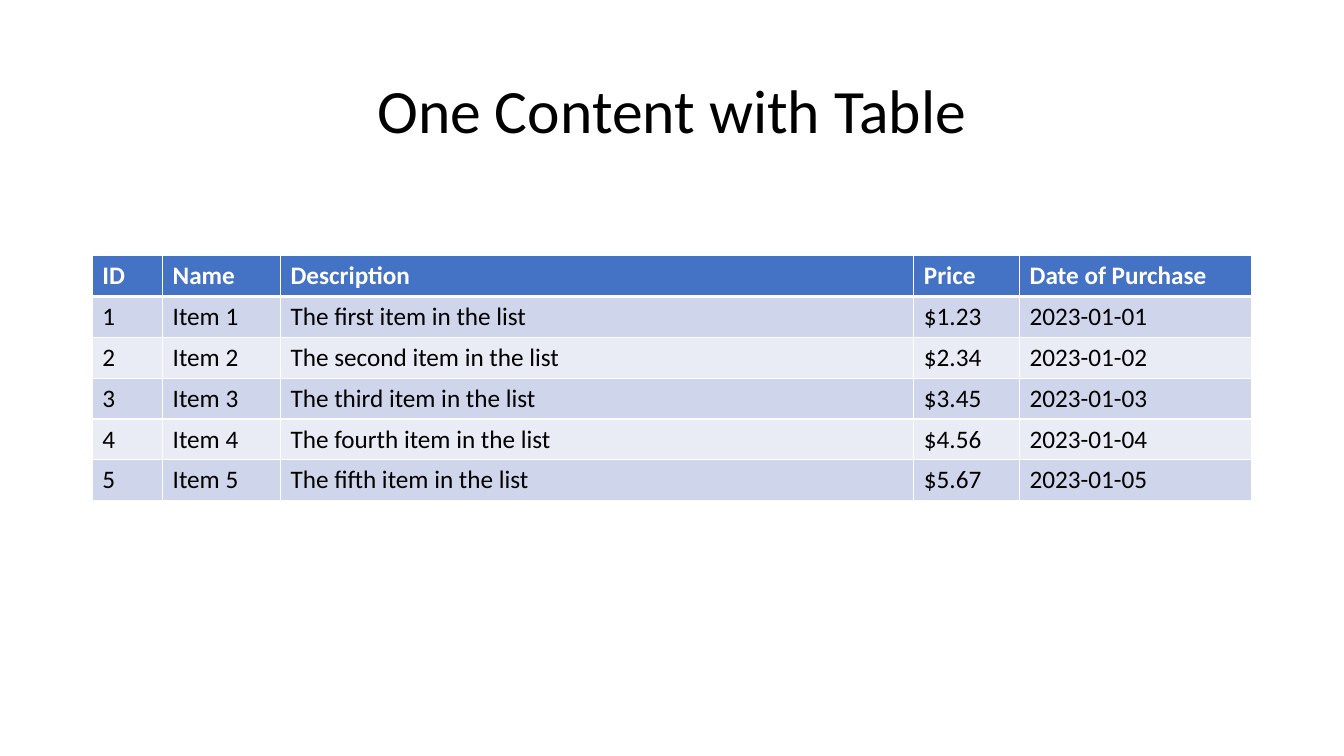
from dataclasses import dataclass

from lxml import etree
from pptx import Presentation
from pptx.dml.color import RGBColor
from pptx.enum import text
from pptx.oxml.ns import qn
from pptx.util import Pt

TITLE = "One Content with Table"
HEADS = ["ID", "Name", "Description", "Price", "Date of Purchase"]
ITEMS = [
    ("1", "Item 1", "The first item in the list", "$1.23", "2023-01-01"),
    ("2", "Item 2", "The second item in the list", "$2.34", "2023-01-02"),
    ("3", "Item 3", "The third item in the list", "$3.45", "2023-01-03"),
    ("4", "Item 4", "The fourth item in the list", "$4.56", "2023-01-04"),
    ("5", "Item 5", "The fifth item in the list", "$5.67", "2023-01-05"),
]
WIDTHS = [50.2, 84.2, 452.4, 75.6, 165.6]
LEFT, WIDE = 66, sum(WIDTHS)
TOP, ROW = 182.5, 29.2


@dataclass(frozen=True)
class Theme:
    font: str = "Calibri"
    title: int = 44
    body: int = 18
    ink: str = "000000"
    white: str = "FFFFFF"
    head: str = "4472C4"
    bands: tuple = ("CFD5EA", "E9EBF5")
    thin: int = 1
    thick: int = 3


THEME = Theme()


def style(para, size, color, bold=False):
    font = para.font
    font.name, font.size, font.bold = THEME.font, Pt(size), bold
    font.color.rgb = RGBColor.from_string(color)


def border(cell, side, width):
    """Rule one side (L, R, T or B); call before the cell is filled."""
    props = cell._tc.get_or_add_tcPr()
    line = etree.SubElement(props, qn(f"a:ln{side}"), w=str(Pt(width)))
    fill = etree.SubElement(line, qn("a:solidFill"))
    etree.SubElement(fill, qn("a:srgbClr"), val=THEME.white)


def add_title(slide):
    title = slide.shapes.title
    title.left, title.top = Pt(LEFT), Pt(28.75)
    title.width, title.height = Pt(WIDE), Pt(104.4)
    frame = title.text_frame
    frame.text = TITLE
    frame.vertical_anchor = text.MSO_ANCHOR.MIDDLE
    para = frame.paragraphs[0]
    para.alignment = text.PP_ALIGN.CENTER
    para.line_spacing = 0.9
    style(para, THEME.title, THEME.ink)


def add_items(slide):
    rows = [HEADS, *ITEMS]
    table = slide.shapes.add_table(
        len(rows), len(HEADS), Pt(LEFT), Pt(TOP), Pt(WIDE), Pt(ROW * len(rows))
    ).table
    for col, width in zip(table.columns, WIDTHS):
        col.width = Pt(width)
    for r, row in enumerate(rows):
        table.rows[r].height = Pt(ROW)
        head = r == 0
        back = THEME.head if head else THEME.bands[(r - 1) % 2]
        ink = THEME.white if head else THEME.ink
        edges = {
            "L": THEME.thin,
            "R": THEME.thin,
            "T": THEME.thick if r == 1 else THEME.thin,
            "B": THEME.thick if head else THEME.thin,
        }
        for c, words in enumerate(row):
            cell = table.cell(r, c)
            for side, width in edges.items():
                border(cell, side, width)
            cell.fill.solid()
            cell.fill.fore_color.rgb = RGBColor.from_string(back)
            cell.text = words
            style(cell.text_frame.paragraphs[0], THEME.body, ink, head)


def main():
    deck = Presentation()
    deck.slide_width, deck.slide_height = Pt(960), Pt(540)
    slide = deck.slides.add_slide(deck.slide_layouts[5])
    add_title(slide)
    add_items(slide)
    deck.save("out.pptx")


if __name__ == "__main__":
    main()
